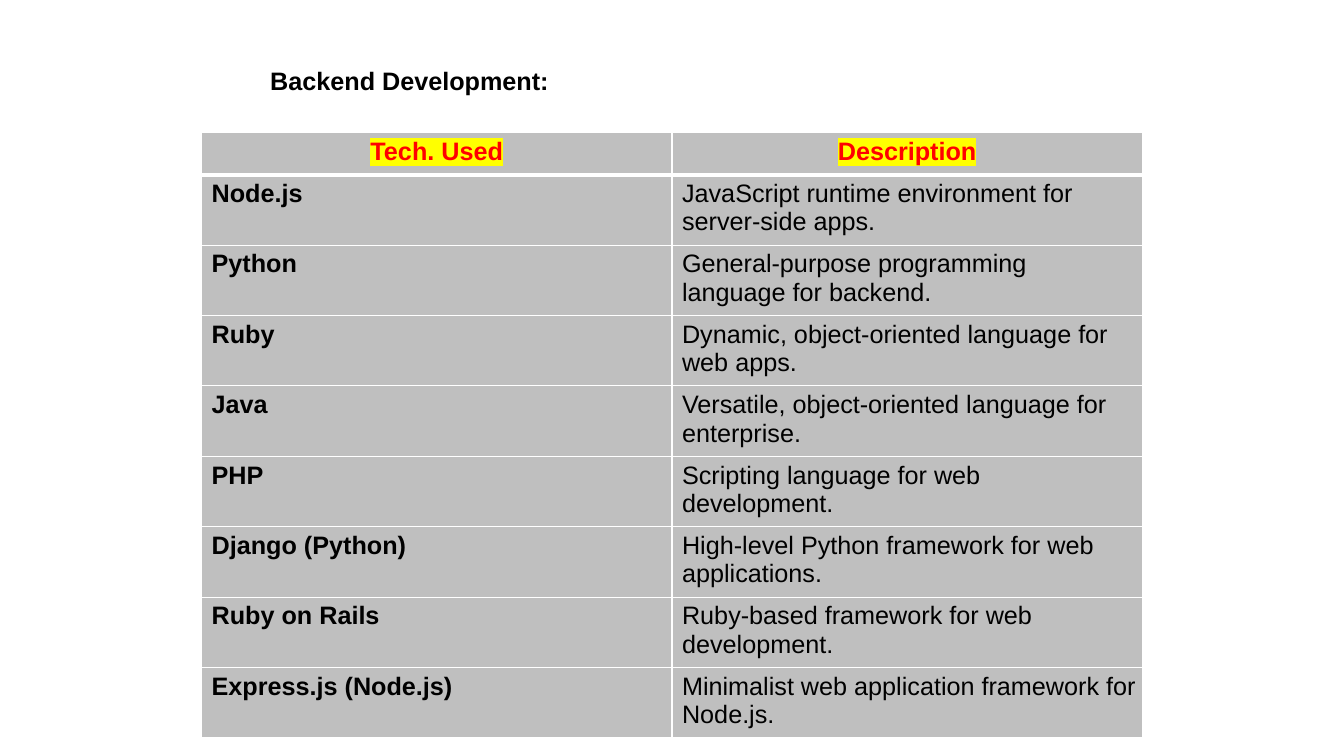
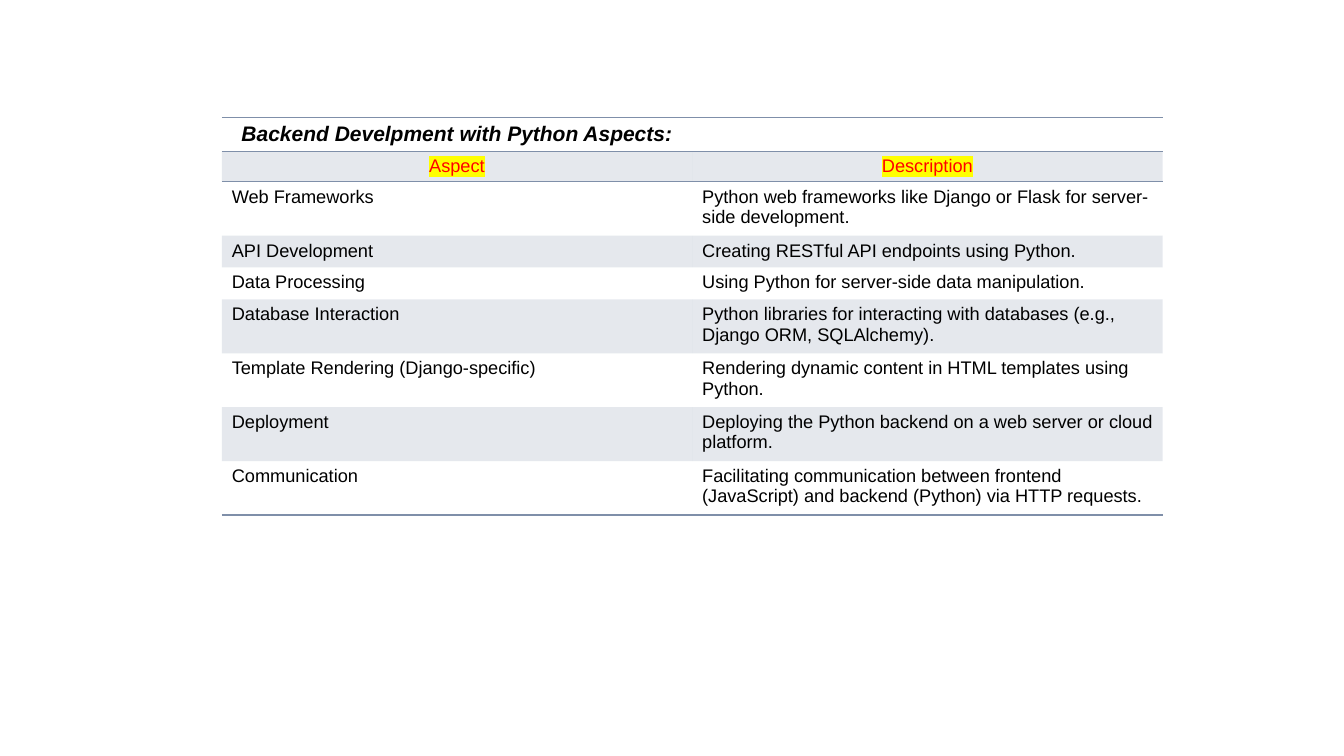
import pptx
import pptx.util
import pptx.dml.color
import pptx.enum.text
import pptx.oxml.ns
import lxml.etree

Pt = pptx.util.Pt
FONT = "Arial"
BLACK, RED, YELLOW, WHITE = "000000", "FF0000", "FFFF00", "FFFFFF"
GRAY, SLATE = "BFBFBF", "7F8FA9"
PLAIN_TABLE = "{2D5ABB26-0587-4C30-8999-92F81FD0307C}"
TABLE_WIDTH = 672
CENTER = pptx.enum.text.PP_ALIGN.CENTER
LEFT = pptx.enum.text.PP_ALIGN.LEFT


def color(value):
    return pptx.dml.color.RGBColor.from_string(value)


def add_xml(parent, tag, **attributes):
    return lxml.etree.SubElement(parent, pptx.oxml.ns.qn(tag), attributes)


deck = pptx.Presentation()
deck.slide_width, deck.slide_height = Pt(960), Pt(540)

# Contents of the two tables
technologies = [
    ("Tech. Used", "Description"),
    ("Node.js", "JavaScript runtime environment for server-side apps."),
    ("Python", "General-purpose programming language for backend."),
    ("Ruby", "Dynamic, object-oriented language for web apps."),
    ("Java", "Versatile, object-oriented language for enterprise."),
    ("PHP", "Scripting language for web development."),
    ("Django (Python)", "High-level Python framework for web applications."),
    ("Ruby on Rails", "Ruby-based framework for web development."),
    ("Express.js (Node.js)", "Minimalist web application framework for Node.js."),
]
aspects = [
    ("Backend Develpment with Python Aspects:", ""),
    ("Aspect", "Description"),
    ("Web Frameworks", "Python web frameworks like Django or Flask for server-side development."),
    ("API Development", "Creating RESTful API endpoints using Python."),
    ("Data Processing", "Using Python for server-side data manipulation."),
    ("Database Interaction", "Python libraries for interacting with databases (e.g., Django ORM, SQLAlchemy)."),
    ("Template Rendering (Django-specific)", "Rendering dynamic content in HTML templates using Python."),
    ("Deployment", "Deploying the Python backend on a web server or cloud platform."),
    ("Communication", "Facilitating communication between frontend (JavaScript) and backend (Python) via HTTP requests."),
]

# Slides: the first has a title, the second only a table
backend_page = deck.slides.add_slide(deck.slide_layouts[5])
python_page = deck.slides.add_slide(deck.slide_layouts[6])

title = backend_page.shapes.title
title.left, title.top, title.width, title.height = Pt(185.8), Pt(43.2), Pt(303), Pt(51)
title.text_frame.text = "Backend Development:"
title.text_frame.vertical_anchor = pptx.enum.text.MSO_ANCHOR.TOP
title.text_frame.auto_size = pptx.enum.text.MSO_AUTO_SIZE.NONE
heading = title.text_frame.paragraphs[0]
heading.alignment = LEFT
heading.font.name, heading.font.size, heading.font.bold = FONT, Pt(18), True
heading.font.color.rgb = color(BLACK)

# Tables: page, rows, left, top, row heights, header row, text size, grid style
tables = [
    (backend_page, technologies, 144, 94.6, [30.2] + [50.3] * 8, 0, 18, True),
    (python_page, aspects, 158.4, 84.2,
     [24, 21.6, 38.5, 22.8, 22.8, 38.5, 38.5, 38.5, 38.5], 1, 13, False),
]
for page, rows, left, top, heights, header, size, grid in tables:
    frame = page.shapes.add_table(len(rows), 2, Pt(left), Pt(top), Pt(TABLE_WIDTH), Pt(sum(heights)))
    table = frame.table
    table.first_row = table.horz_banding = False
    table._tbl.tblPr.find(pptx.oxml.ns.qn("a:tableStyleId")).text = PLAIN_TABLE
    last = len(rows) - 1

    for row, texts in enumerate(rows):
        table.rows[row].height = Pt(heights[row])
        for column, text in enumerate(texts):
            cell = table.cell(row, column)
            cell.margin_bottom = Pt(2)
            if row > header:
                cell.margin_right = Pt(4)

            # Text
            para = cell.text_frame.paragraphs[0]
            para.alignment = CENTER if row <= header else LEFT
            banner = row < header
            para.font.name = FONT
            para.font.size = Pt(15 if banner else size)
            para.font.bold = banner or (grid and (row == header or column == 0))
            para.font.italic = banner
            para.font.color.rgb = color(RED if row == header else BLACK)
            if text:
                span = para.add_run()
                span.text = text
                if row == header:
                    highlight = add_xml(span._r.get_or_add_rPr(), "a:highlight")
                    add_xml(highlight, "a:srgbClr", val=YELLOW)
            else:
                add_xml(para._p, "a:endParaRPr", sz=str(1500))

            # Borders
            if grid:
                borders = {"L": 1, "R": 1, "T": 3 if row == 1 else 1, "B": 3 if row == 0 else 1}
            else:
                borders = {"T": 1 if row in (0, 1) else 0, "B": 1 if row in (0, last) else 0}
            properties = cell._tc.get_or_add_tcPr()
            for side, width in borders.items():
                if width:
                    line = add_xml(properties, "a:ln" + side, w=str(Pt(width)))
                    paint = add_xml(line, "a:solidFill")
                    add_xml(paint, "a:srgbClr", val=WHITE if grid else SLATE)

            # Fill: solid gray, or a pale band on every second row
            if grid or row % 2:
                cell.fill.solid()
                cell.fill.fore_color.rgb = color(GRAY if grid else SLATE)
                if not grid:
                    band = properties.find(".//" + pptx.oxml.ns.qn("a:solidFill") + "[last()]")
                    band = properties.find(pptx.oxml.ns.qn("a:solidFill"))
                    add_xml(band[0], "a:alpha", val="20000")
            else:
                cell.fill.background()

deck.save("out.pptx")
